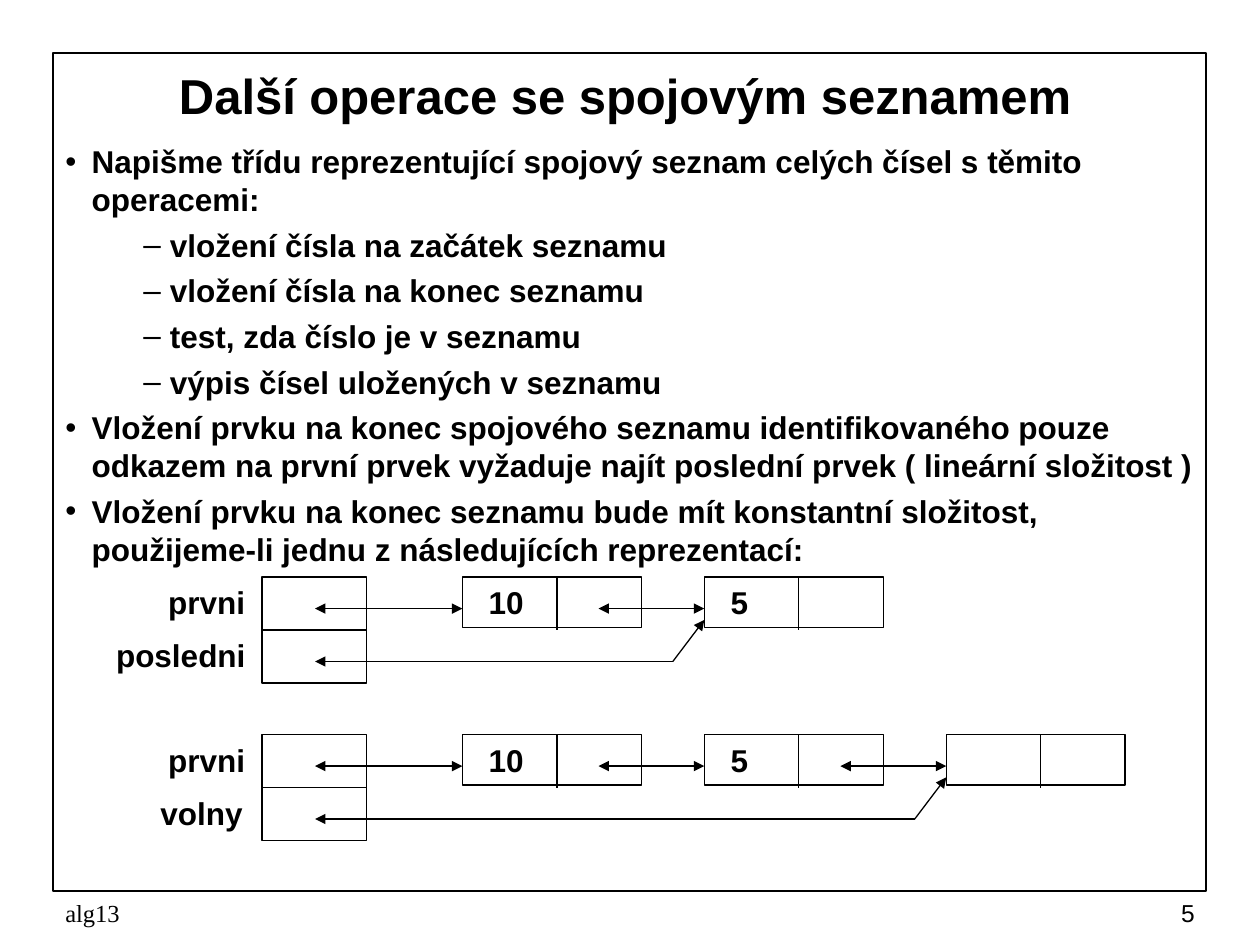
from lxml import etree
from pptx import Presentation
from pptx.dml.color import RGBColor
from pptx.enum.shapes import MSO_CONNECTOR as Link, MSO_SHAPE as Kind
from pptx.enum.text import MSO_ANCHOR as Anchor, PP_ALIGN as Align
from pptx.oxml.ns import qn
from pptx.util import Inches, Pt

BLACK = "000000"
NODE_W, CELL_W, PITCH = 1.42, 0.75, 1.92  # list node, its value cell, node step
REF_W, REF_H = 0.83, 0.42                 # reference cell

BULLETS = [
    (0, "Napišme třídu reprezentující spojový seznam celých čísel s těmito operacemi:"),
    (1, "vložení čísla na začátek seznamu"),
    (1, "vložení čísla na konec seznamu"),
    (1, "test, zda číslo je v seznamu"),
    (1, "výpis čísel uložených v seznamu"),
    (0, "Vložení prvku na konec spojového seznamu identifikovaného pouze "
        "odkazem na první prvek vyžaduje najít poslední prvek ( lineární složitost )"),
    (0, "Vložení prvku na konec seznamu bude mít konstantní složitost, "
        "použijeme-li jednu z následujících reprezentací:"),
]


def color(code):
    return RGBColor.from_string(code)


def indent(para, left, hang=0.21):
    props = para._p.get_or_add_pPr()
    props.set("marL", str(Inches(left)))
    props.set("indent", str(-Inches(hang)))
    return props


def style(para, size=18, bold=True, font="Arial", align=Align.LEFT):
    para.alignment = align
    for run in para.runs:
        run.font.size, run.font.bold, run.font.name = Pt(size), bold, font
        run.font.color.rgb = color(BLACK)


def add_text(slide, x, y, w, h, text, anchor=Anchor.TOP, **look):
    box = slide.shapes.add_textbox(Inches(x), Inches(y), Inches(w), Inches(h))
    frame = box.text_frame
    frame.word_wrap = True
    frame.vertical_anchor = anchor
    frame.text = text
    style(frame.paragraphs[0], **look)
    return frame


def add_rect(slide, x, y, w, h, width=0.75):
    rect = slide.shapes.add_shape(
        Kind.RECTANGLE, Inches(x), Inches(y), Inches(w), Inches(h))
    rect.shadow.inherit = False
    rect.fill.background()
    rect.line.color.rgb = color(BLACK)
    rect.line.width = Pt(width)
    return rect


def add_line(slide, x1, y1, x2, y2, *ends):
    line = slide.shapes.add_connector(
        Link.STRAIGHT, Inches(x1), Inches(y1), Inches(x2), Inches(y2))
    line.line.color.rgb = color(BLACK)
    line.line.width = Pt(0.75)
    for end in ends:
        etree.SubElement(line.line._get_or_add_ln(), qn(f"a:{end}End"), type="triangle")
    etree.SubElement(line._element.spPr, qn("a:effectLst"))


def add_body(slide, x, y, w, h):
    frame = add_text(slide, x, y, w, h, "")
    for i, (level, text) in enumerate(BULLETS):
        para = frame.add_paragraph() if i else frame.paragraphs[0]
        para.text = text
        para.level = level
        if i:
            para.space_before = Pt(4.5)
        props = indent(para, (0.21, 0.83)[level])
        tint = etree.SubElement(props, qn("a:buClr"))
        etree.SubElement(tint, qn("a:srgbClr"), val=BLACK)
        etree.SubElement(props, qn("a:buFont"), typeface="Arial")
        etree.SubElement(props, qn("a:buChar"), char="•–"[level])
        style(para)


def add_node(slide, x, y, value):
    rect = add_rect(slide, x, y, NODE_W, 0.4)
    if value:
        frame = rect.text_frame
        frame.vertical_anchor = Anchor.TOP
        frame.text = value
        indent(frame.paragraphs[0], 0.32)
        style(frame.paragraphs[0])
    add_line(slide, x + CELL_W, y, x + CELL_W, y + REF_H)


def add_ref(slide, x, y, name, left, wide, shift):
    add_rect(slide, x, y, REF_W, REF_H)
    frame = add_text(slide, left, y, wide, 0.4, name, align=Align.CENTER)
    indent(frame.paragraphs[0], shift)


def add_list(slide, x, y, values, last, shift):
    """Linked list with one reference to its first node and one to its last."""
    mid = y + 0.25
    low = mid + REF_H
    nodes = [x + 1.59 + i * PITCH for i in range(len(values))]
    add_ref(slide, x, y, "prvni", 1, 1.17, 0.32)
    add_ref(slide, x, y + REF_H, last, 0.67, 1.42, shift)
    for left, value in zip(nodes, values):
        add_node(slide, left, y, value)

    # Links between nodes; the last one has no length
    starts = [x + 0.42] + [left + 1.08 for left in nodes]
    for start, stop in zip(starts, nodes + starts[-1:]):
        add_line(slide, start, mid, stop, mid, "head", "tail")

    # Bent link to the last node
    bend = nodes[-1] - 0.25
    add_line(slide, x + 0.42, low, bend, low, "head")
    add_line(slide, bend, low, nodes[-1], y + 0.34, "tail")


def add_footer(slide, y, h):
    look = dict(anchor=Anchor.MIDDLE, size=14, bold=False)
    add_text(slide, 0.42, y, 3.17, h, "alg13", font="Times New Roman", **look)
    add_text(slide, 7.5, y, 2.08, h, "5", align=Align.RIGHT, **look)


def main():
    deck = Presentation()
    deck.slide_width, deck.slide_height = Inches(10), Inches(7.5)
    slide = deck.slides.add_slide(deck.slide_layouts[6])

    # Frame, title and text
    add_rect(slide, 0.42, 0.42, 9.15, 6.65, 1)
    add_text(slide, 0.5, 0.42, 8.92, 0.67, "Další operace se spojovým seznamem",
             anchor=Anchor.MIDDLE, size=28, align=Align.CENTER)
    add_body(slide, 0.42, 1.08, 9.17, 5.83)

    # Two ways to hold the list
    add_list(slide, 2.08, 4.58, ["10", "5"], "posledni", 0.32)
    add_list(slide, 2.08, 5.83, ["10", "5", ""], "volny", 0.65)

    add_footer(slide, 7.08, 0.33)
    deck.save("out.pptx")


if __name__ == "__main__":
    main()
